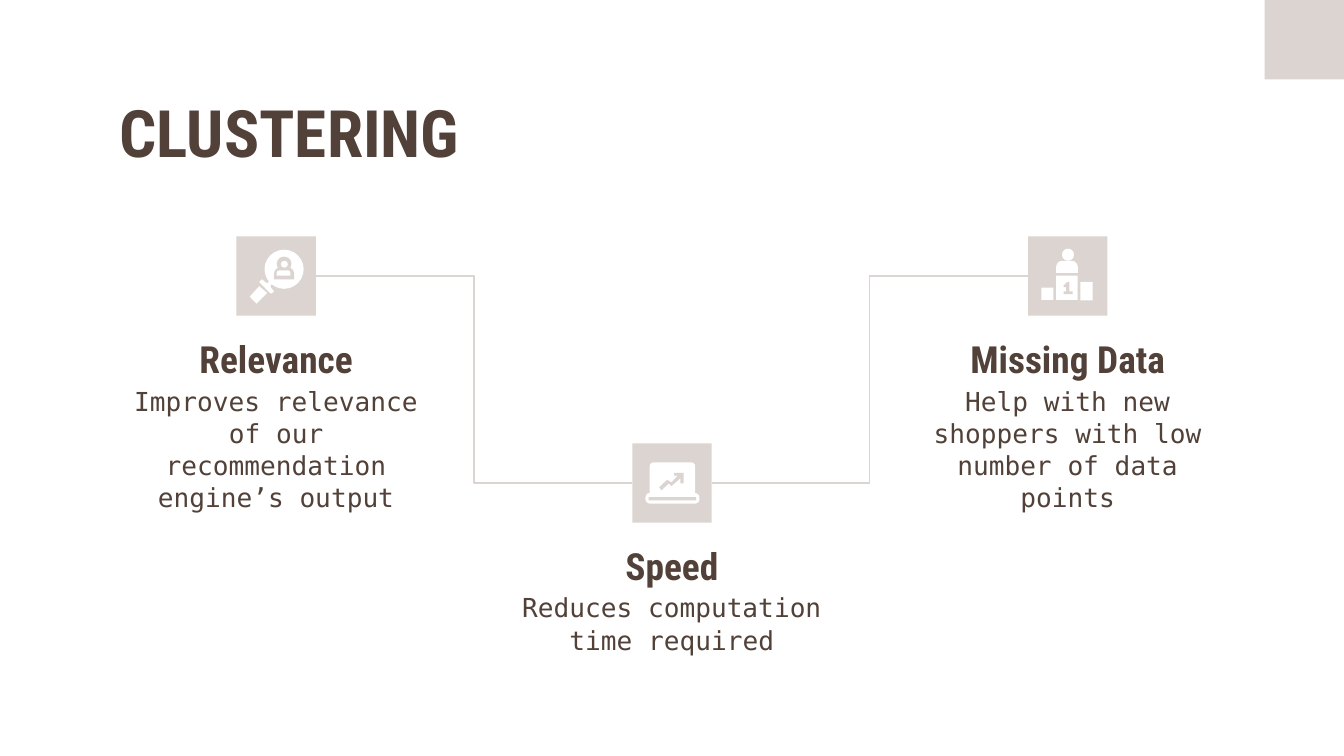
"""Build the clustering slide: three benefits joined by stepped lines."""
from dataclasses import dataclass

from lxml.etree import SubElement
from pptx import Presentation
from pptx.dml.color import RGBColor
from pptx.enum.shapes import MSO_CONNECTOR, MSO_SHAPE
from pptx.enum.text import MSO_ANCHOR, PP_ALIGN
from pptx.oxml.ns import qn
from pptx.util import Cm, Pt


@dataclass(frozen=True)
class Theme:
    ink: RGBColor = RGBColor(0x51, 0x41, 0x38)
    sand: RGBColor = RGBColor(0xDB, 0xD4, 0xD1)
    paper: RGBColor = RGBColor(0xFF, 0xFF, 0xFF)
    display: str = "Roboto Condensed"
    mono: str = "DejaVu Sans Mono"
    title: Pt = Pt(35)
    heading: Pt = Pt(20)
    detail: Pt = Pt(14)
    rule: Pt = Pt(0.75)


def paint(figure, colour):
    figure.shadow.inherit = False
    figure.fill.solid()
    figure.fill.fore_color.rgb = colour
    figure.line.fill.background()
    return figure


def write(holder, words, font_name, size, bold, alignment):
    frame = holder.text_frame
    frame.word_wrap = True
    frame.vertical_anchor = MSO_ANCHOR.TOP
    frame.margin_left = frame.margin_right = Cm(0.25)
    frame.margin_top = frame.margin_bottom = Cm(0.25)
    frame.text = words
    paragraph = frame.paragraphs[0]
    paragraph.alignment = alignment
    paragraph.space_before = Pt(0)
    font = paragraph.runs[0].font
    font.name, font.size, font.bold = font_name, size, bold
    font.color.rgb = theme.ink
    return paragraph


theme = Theme()
OVAL = MSO_SHAPE.OVAL
RECT = MSO_SHAPE.RECTANGLE
ROUND = MSO_SHAPE.ROUNDED_RECTANGLE
DOME = MSO_SHAPE.ROUND_2_SAME_RECTANGLE
TILE = 1.5
COLUMN_STEP = 7.48
TEXT_WIDTH = 6.45

magnifier = (
    [
        (OVAL, 0.53, 0.25, 0.74, 0.74, theme.paper),
        (DOME, 0.71, 0.59, 0.38, 0.22, theme.sand),
        (OVAL, 0.76, 0.38, 0.28, 0.28, theme.sand),
        (OVAL, 0.84, 0.46, 0.13, 0.13, theme.paper),
        (DOME, 0.76, 0.64, 0.26, 0.1, theme.paper),
    ],
    [
        ([(0.43, 0.86), (0.48, 0.81), (0.58, 0.89), (0.62, 0.84), (0.67, 0.89),
          (0.64, 0.95), (0.71, 1.04), (0.66, 1.08), (0.62, 1.06)], theme.paper),
        ([(0.43, 0.94), (0.25, 1.14), (0.38, 1.27), (0.58, 1.07)], theme.paper),
    ],
)
laptop = (
    [
        (DOME, 0.33, 0.36, 0.86, 0.6, theme.paper),
        (ROUND, 0.25, 0.94, 1.02, 0.2, theme.paper),
        (RECT, 0.31, 1.02, 0.9, 0.06, theme.sand),
    ],
    [
        ([(0.51, 0.83), (0.66, 0.69), (0.74, 0.74), (0.86, 0.61), (0.79, 0.61),
          (0.79, 0.56), (0.97, 0.56), (0.97, 0.76), (0.91, 0.76), (0.91, 0.66),
          (0.74, 0.81), (0.69, 0.76), (0.55, 0.89)], theme.sand),
    ],
)
podium = (
    [
        (DOME, 0.53, 0.46, 0.41, 0.23, theme.paper),
        (OVAL, 0.64, 0.23, 0.23, 0.23, theme.paper),
        (RECT, 0.25, 0.97, 0.23, 0.23, theme.paper),
        (RECT, 0.53, 0.74, 0.41, 0.46, theme.paper),
        (RECT, 0.99, 0.86, 0.23, 0.35, theme.paper),
    ],
    [
        ([(0.74, 0.86), (0.78, 0.86), (0.78, 1.04), (0.84, 1.04), (0.84, 1.09),
          (0.67, 1.09), (0.67, 1.04), (0.72, 1.04), (0.72, 0.96), (0.67, 0.96),
          (0.67, 0.93)], theme.sand),
    ],
)
benefits = [
    ("Relevance", "Improves relevance of our recommendation engine’s output", 4.47, magnifier),
    ("Speed", "Reduces computation time required", 8.38, laptop),
    ("Missing Data", "Help with new shoppers with low number of data points", 4.47, podium),
]

deck = Presentation()
deck.slide_width, deck.slide_height = Cm(25.4), Cm(14.29)
slide = deck.slides.add_slide(deck.slide_layouts[5])
shapes = slide.shapes

paint(shapes.add_shape(RECT, Cm(23.9), Cm(0), Cm(TILE), Cm(TILE)), theme.sand)

title = shapes.title
title.left, title.top, title.width, title.height = Cm(2), Cm(1.5), Cm(11.1), Cm(1.68)
write(title, "CLUSTERING", theme.display, theme.title, True, PP_ALIGN.LEFT)

tiles = []
for column, (heading, detail, top, (forms, outlines)) in enumerate(benefits):
    centre = 12.7 + (column - 1) * COLUMN_STEP
    left = centre - TILE / 2
    text_left = Cm(centre - TEXT_WIDTH / 2)

    tile = shapes.add_shape(RECT, Cm(left), Cm(top), Cm(TILE), Cm(TILE))
    tiles.append(paint(tile, theme.sand))

    icon = shapes.add_group_shape().shapes
    for preset, x, y, width, height, colour in forms:
        part = icon.add_shape(preset, Cm(left + x), Cm(top + y), Cm(width), Cm(height))
        paint(part, colour)
        if preset == DOME:
            part.adjustments[0] = 0.12 if width > 0.5 else 0.5
        elif preset == ROUND:
            part.adjustments[0] = 0.4
    for points, colour in outlines:
        corners = [(Cm(left + x), Cm(top + y)) for x, y in points]
        builder = icon.build_freeform(*corners[0])
        builder.add_line_segments(corners[1:], close=True)
        paint(builder.convert_to_shape(), colour)

    heading_box = shapes.add_textbox(text_left, Cm(top + 1.63), Cm(TEXT_WIDTH), Cm(1.19))
    write(heading_box, heading, theme.display, theme.heading, True, PP_ALIGN.CENTER)
    detail_box = shapes.add_textbox(text_left, Cm(top + 2.54), Cm(TEXT_WIDTH), Cm(1.68))
    explanation = write(detail_box, detail, theme.mono, theme.detail, False, PP_ALIGN.CENTER)
    explanation.line_spacing = 1.03

relevance, speed, missing_data = tiles
for start, start_side, end_side in [(relevance, 3, 1), (missing_data, 1, 3)]:
    step = shapes.add_connector(MSO_CONNECTOR.ELBOW, 0, 0, 0, 0)
    step.begin_connect(start, start_side)
    step.end_connect(speed, end_side)
    step.line.color.rgb = theme.sand
    step.line.width = theme.rule
    SubElement(step._element.spPr, qn("a:effectLst"))

deck.save("out.pptx")
